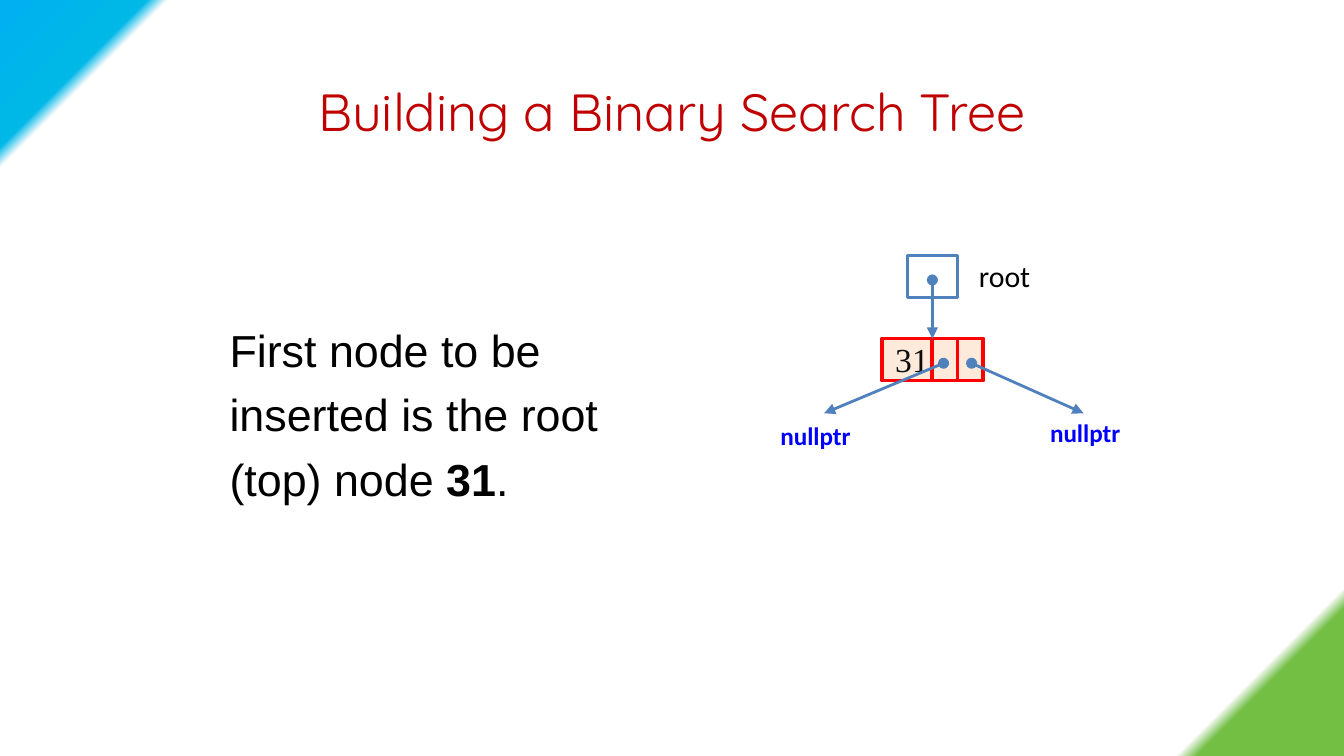
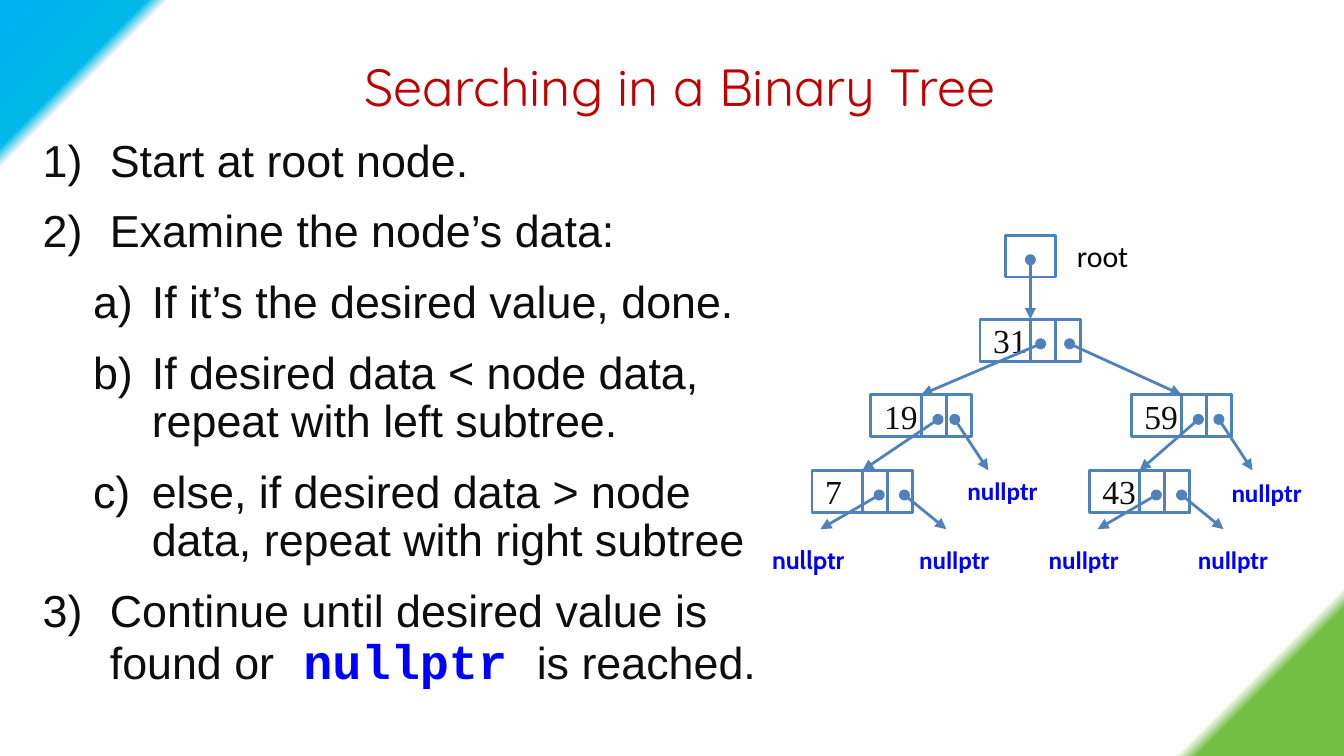
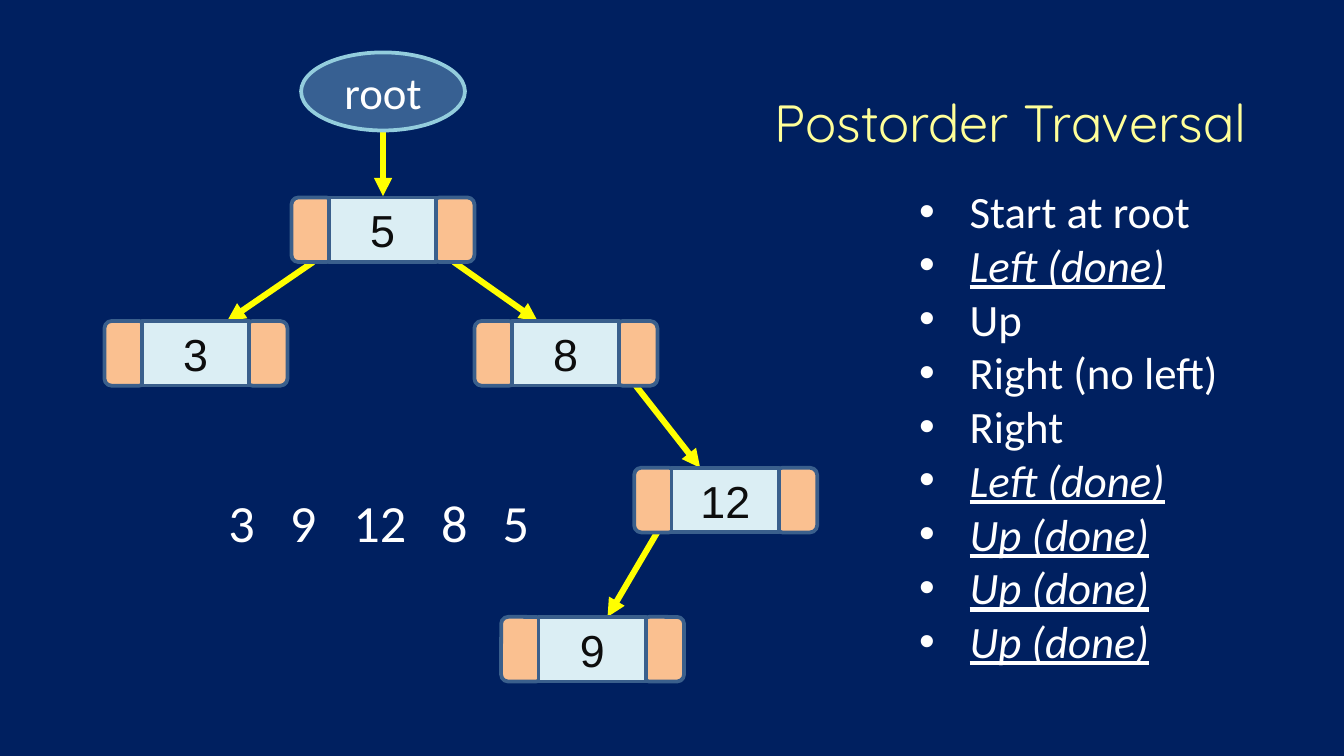
from lxml.etree import SubElement
from pptx import Presentation
from pptx.dml.color import RGBColor
from pptx.enum.shapes import MSO_CONNECTOR, MSO_SHAPE
from pptx.enum.text import MSO_ANCHOR, MSO_AUTO_SIZE, PP_ALIGN
from pptx.oxml.ns import qn
from pptx.util import Pt

# Colours
BLACK = RGBColor(0x00, 0x00, 0x00)
INK = RGBColor(0x0D, 0x0D, 0x0D)
WHITE = RGBColor(0xFF, 0xFF, 0xFF)
CRIMSON = RGBColor(0xC0, 0x00, 0x00)
RED = RGBColor(0xFF, 0x00, 0x00)
PEACH = RGBColor(0xFD, 0xEA, 0xDA)
STEEL = RGBColor(0x4F, 0x81, 0xBD)
CODE_BLUE = RGBColor(0x00, 0x00, 0xFF)
NAVY = RGBColor(0x00, 0x20, 0x60)
CREAM = RGBColor(0xFF, 0xFF, 0x99)
YELLOW = RGBColor(0xFF, 0xFF, 0x00)
OVAL_FILL = RGBColor(0x37, 0x60, 0x92)
OVAL_EDGE = RGBColor(0x93, 0xCD, 0xDD)
ORANGE = RGBColor(0xFA, 0xC0, 0x90)
ICE = RGBColor(0xDB, 0xEE, 0xF4)
NODE_EDGE = RGBColor(0x3A, 0x5F, 0x8C)
CORNERS = [(0, RGBColor(0x00, 0xB0, 0xF0)), (7, RGBColor(0x00, 0xB8, 0xE7)),
           (8, WHITE), (92, WHITE), (93, RGBColor(0x72, 0xBF, 0x44))]

# Text styles
TITLE = dict(name="Quicksand", size=Pt(28), color=CRIMSON)
DARK_TITLE = dict(TITLE, color=CREAM)
BODY = dict(name="Arial", size=Pt(24), color=BLACK)
STEP = dict(BODY, color=INK)
CODE = dict(name="Courier New", size=Pt(26), color=CODE_BLUE, bold=True)
KEY = dict(name="Times New Roman", size=Pt(18), color=INK)
ROOT = dict(name="Calibri", size=Pt(16), color=BLACK)
NULL = dict(name="Calibri", size=Pt(13.5), color=CODE_BLUE, bold=True)
MOVE = dict(name="Calibri", size=Pt(24), color=WHITE)
DONE = dict(MOVE, italic=True, underline=True)
ORDER = dict(MOVE, size=Pt(28))

CENTER = dict(alignment=PP_ALIGN.CENTER)
LEFT = dict(alignment=PP_ALIGN.LEFT)
STEP_SPACING = dict(line_spacing=0.9, space_before=Pt(12))

# Slide 1: one node
FIRST_TITLE = ("Building a Binary Search Tree", (20.9, 30.2, 678, 58.3))
FIRST_TEXT = [("First node to be inserted is the root (top) node ", BODY),
              ("31", dict(BODY, bold=True)), (".", BODY)]
# A node is left, top, then (dot offset, target) for each pointer;
# a target is a child's key or an arrow tip relative to the node.
FIRST_TREE = dict(
    root=(486, 136.8), edge=RED, edge_width=2, fill=PEACH,
    nodes={31: (472.5, 181.4, (33, (-31, 40)), (48, (108, 40)))},
    # left, top, width, font, alignment
    nulls=[(553.7, 220.3, 55.4, "Calibri", CENTER), (411, 221.8, 56.9, "Calibri", LEFT)])

# Slide 2: search steps and full tree
SEARCH_TITLE = ("Searching in a Binary Tree", (25.2, 16.6, 678, 58.3))
SEARCH_STEPS = [  # level, runs
    (0, [("Start at root node.", STEP)]),
    (0, [("Examine the node’s data:", STEP)]),
    (1, [("If it’s the desired value, done.", STEP)]),
    (1, [("If desired data < node data, repeat with left subtree.", STEP)]),
    (1, [("else, if desired data > node data, repeat with right subtree", STEP)]),
    (0, [("Continue until desired value is found or", STEP),
         (" nullptr ", CODE), ("is reached.", STEP)]),
]
STEP_LEVELS = [(36, -36, "arabicParenR"), (58.5, -31.5, "alphaLcParenR")]
SEARCH_TREE = dict(
    root=(538.5, 126), edge=STEEL, edge_width=1.5, fill=None,
    nodes={31: (525, 171, (32.5, 19), (48, 59)),
           59: (606, 211.5, (36, 43), (47, (65, 40.5))),
           19: (466.5, 211.5, (36, 7), (45, (63, 40.5))),
           7: (435, 252, (36, (4.5, 31.5)), (49.5, (72, 31.5))),
           43: (583.5, 252, (36, (4.5, 31.5)), (49.5, (72, 31.5)))},
    nulls=[(650.9, 252, 55.4, "Calibri", CENTER), (406, 288, 54, "Cabin", CENTER),
           (484.6, 288, 53.3, "Calibri", CENTER), (552.2, 288, 56.9, "Calibri", CENTER),
           (632.9, 288, 55.4, "Calibri", CENTER), (511.2, 251.3, 56.9, "Calibri", LEFT)])

# Slide 3: postorder traversal
TRAVERSAL_TITLE = ("Postorder Traversal", (383.8, 36, 315.4, 58.3))
MOVES = [("Start at root", MOVE), ("Left (done)", DONE), ("Up", MOVE),
         ("Right (no left)", MOVE), ("Right", MOVE), ("Left (done)", DONE),
         ("Up (done)", DONE), ("Up (done)", DONE), ("Up (done)", DONE)]
VISITED = "3\t9\t12\t8\t5"
VISITED_TABS = [33, 67, 114, 147]
TRAVERSAL_NODES = {3: (56, 172), 5: (156.2, 105.8), 8: (254.2, 172),
                   12: (339.8, 250.6), 9: (268.5, 330.5)}
# parent, child, start and end offsets from their left sides
TRAVERSAL_EDGES = [(5, 3, 11.5, 65.7), (5, 8, 87, 33.8),
                   (8, 12, 86.4, 35.3), (12, 9, 12.3, 57)]

# Node sizes
NODE_W, NODE_H, CELL_W, DOT_Y = 54, 22.5, 13.5, 13.2
CAP_W, KEY_X, KEY_W, BAR_H = 22.4, 20, 57.6, 34.6


# Shared helpers
def write(frame, paragraphs, paragraph_format):
    for index, runs in enumerate(paragraphs):
        paragraph = frame.add_paragraph() if index else frame.paragraphs[0]
        for attribute, value in paragraph_format.items():
            setattr(paragraph, attribute, value)
        for text, style in runs:
            run = paragraph.add_run()
            run.text = text
            for attribute, value in style.items():
                if attribute == "color":
                    run.font.color.rgb = value
                else:
                    setattr(run.font, attribute, value)


def add_text(slide, place, paragraphs, paragraph_format, anchor=MSO_ANCHOR.TOP):
    frame = slide.shapes.add_textbox(*map(Pt, place)).text_frame
    frame.word_wrap = True
    frame.vertical_anchor = anchor
    write(frame, paragraphs, paragraph_format)
    return frame.paragraphs


def add_bullet(paragraph, margin, indent, tag, **attributes):
    properties = paragraph._p.get_or_add_pPr()
    properties.set("marL", str(Pt(margin)))
    properties.set("indent", str(Pt(indent)))
    SubElement(properties, qn("a:buFont"), typeface="Arial")
    SubElement(properties, qn(tag), **attributes)


def add_box(slide, kind, place, fill, edge, edge_width, runs=(), alignment=CENTER, wrap=True):
    box = slide.shapes.add_shape(kind, *map(Pt, place))
    box.shadow.inherit = False
    if fill is None:
        box.fill.background()
    else:
        box.fill.solid()
        box.fill.fore_color.rgb = fill
    box.line.color.rgb = edge
    box.line.width = Pt(edge_width)
    if runs:
        box.text_frame.word_wrap = wrap
        box.text_frame.vertical_anchor = MSO_ANCHOR.MIDDLE
        write(box.text_frame, [runs], alignment)


def add_arrow(slide, start, end, color, width, dotted_start=False):
    arrow = slide.shapes.add_connector(MSO_CONNECTOR.STRAIGHT, *map(Pt, (*start, *end)))
    arrow.line.color.rgb = color
    arrow.line.width = Pt(width)
    line = arrow.element.find(".//" + qn("a:ln"))
    if dotted_start:
        SubElement(line, qn("a:headEnd"), type="oval")
    SubElement(line, qn("a:tailEnd"), type="triangle")
    SubElement(line.getparent(), qn("a:effectLst"))


def add_slide(deck, title, style):
    slide = deck.slides.add_slide(deck.slide_layouts[5])
    text, place = title
    heading = slide.shapes.title
    for side, value in zip(("left", "top", "width", "height"), place):
        setattr(heading, side, Pt(value))
    heading.text_frame.auto_size = MSO_AUTO_SIZE.NONE
    heading.text_frame.vertical_anchor = MSO_ANCHOR.MIDDLE
    write(heading.text_frame, [[(text, style)]], CENTER)
    return slide


def color_corners(slide):
    fill = slide.background.fill
    fill.gradient()
    fill.gradient_angle = 315
    stops = slide.element.find(".//" + qn("a:gsLst"))
    for stop in list(stops):
        stops.remove(stop)
    for percent, color in CORNERS:
        stop = SubElement(stops, qn("a:gs"), pos=str(percent * 1000))
        SubElement(stop, qn("a:srgbClr"), val=str(color))


def draw_pointer_tree(slide, tree):
    nodes = tree["nodes"]
    edge, edge_width = tree["edge"], tree["edge_width"]
    # Root pointer
    x, y = tree["root"]
    add_box(slide, MSO_SHAPE.RECTANGLE, (x, y, NODE_W / 2, NODE_H), None, STEEL, 1.5)
    add_text(slide, (x + 27, y + 2, 50.4, 18), [[("root", ROOT)]], CENTER, MSO_ANCHOR.MIDDLE)
    # Nodes with two pointer cells
    for key, (left, top, *_) in nodes.items():
        add_box(slide, MSO_SHAPE.RECTANGLE, (left, top, NODE_W, NODE_H), tree["fill"],
                edge, edge_width, [(str(key), KEY)], LEFT, wrap=False)
        for cell in (1, 2):
            add_box(slide, MSO_SHAPE.RECTANGLE,
                    (left + NODE_W - cell * CELL_W, top, CELL_W, NODE_H), None, edge, edge_width)
    # Arrows
    center = x + NODE_W / 4
    add_arrow(slide, (center, y + DOT_Y), (center, nodes[31][1]), STEEL, 1.5, True)
    for left, top, *pointers in nodes.values():
        for dot, target in pointers:
            if target in nodes:
                tip = (nodes[target][0] + NODE_W / 2, nodes[target][1])
            else:
                tip = (left + target[0], top + target[1])
            add_arrow(slide, (left + dot, top + DOT_Y), tip, STEEL, 1.5, True)
    # Empty ends
    for left, top, width, font, alignment in tree["nulls"]:
        add_text(slide, (left, top, width, 23.8), [[("nullptr", dict(NULL, name=font))]], alignment)


def build_first_node(deck):
    slide = add_slide(deck, FIRST_TITLE, TITLE)
    color_corners(slide)
    add_text(slide, (115.9, 163.4, 247, 87.1), [FIRST_TEXT],
             dict(line_spacing=1.2, space_before=Pt(4.8)))
    draw_pointer_tree(slide, FIRST_TREE)


def build_search(deck):
    slide = add_slide(deck, SEARCH_TITLE, TITLE)
    color_corners(slide)
    steps = add_text(slide, (15.8, 70.6, 401, 270),
                     [runs for _, runs in SEARCH_STEPS], STEP_SPACING)
    for step, (level, _) in zip(steps, SEARCH_STEPS):
        step.level = level
        margin, indent, numbering = STEP_LEVELS[level]
        add_bullet(step, margin, indent, "a:buAutoNum", type=numbering)
    draw_pointer_tree(slide, SEARCH_TREE)


def build_traversal(deck):
    slide = add_slide(deck, TRAVERSAL_TITLE, DARK_TITLE)
    slide.background.fill.solid()
    slide.background.fill.fore_color.rgb = NAVY
    for move in add_text(slide, (485.3, 95, 217.4, 189.4), [[move] for move in MOVES], LEFT):
        add_bullet(move, 27, -27, "a:buChar", char="•")
    # Arrows lie under the nodes
    for parent, child, start, end in TRAVERSAL_EDGES:
        (px, py), (cx, cy) = TRAVERSAL_NODES[parent], TRAVERSAL_NODES[child]
        add_arrow(slide, (px + start, py + BAR_H), (cx + end, cy), YELLOW, 3.25)
    add_arrow(slide, (205.2, 69.1), (205.2, 105.1), YELLOW, 3.25)
    add_box(slide, MSO_SHAPE.OVAL, (161.3, 28.1, 87.8, 41.8), OVAL_FILL, OVAL_EDGE, 2,
            [("root", MOVE)])
    for key, (left, top) in TRAVERSAL_NODES.items():
        for cap in (left, left + KEY_X + KEY_W - 2):
            add_box(slide, MSO_SHAPE.ROUNDED_RECTANGLE, (cap, top, CAP_W, BAR_H),
                    ORANGE, NODE_EDGE, 2)
        add_box(slide, MSO_SHAPE.RECTANGLE, (left + KEY_X, top, KEY_W, BAR_H),
                ICE, NODE_EDGE, 2, [(str(key), STEP)])
    # Visiting order
    visited = add_text(slide, (115.2, 259.2, 217.4, 45.4), [[(VISITED, ORDER)]],
                       dict(space_before=Pt(5.6)))[0]
    tabs = SubElement(visited._p.get_or_add_pPr(), qn("a:tabLst"))
    for position in VISITED_TABS:
        SubElement(tabs, qn("a:tab"), pos=str(Pt(position)), algn="l")


def main():
    deck = Presentation()
    deck.slide_width, deck.slide_height = Pt(720), Pt(405)
    for build in (build_first_node, build_search, build_traversal):
        build(deck)
    deck.save("out.pptx")


if __name__ == "__main__":
    main()
